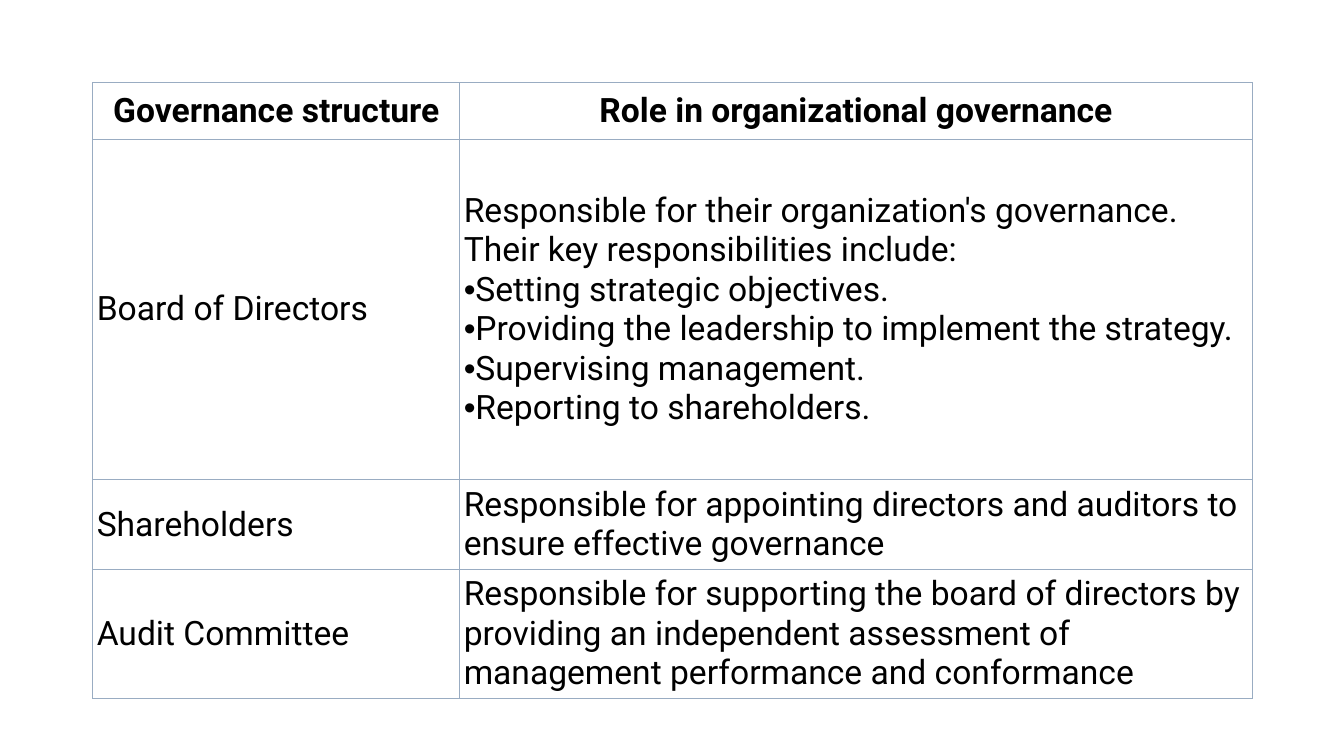
from lxml import etree
from pptx import Presentation
from pptx.dml.color import RGBColor
from pptx.enum.text import MSO_ANCHOR, PP_ALIGN
from pptx.oxml.ns import qn
from pptx.util import Inches, Pt

CENTER, LEFT = PP_ALIGN.CENTER, PP_ALIGN.LEFT
MIDDLE = MSO_ANCHOR.MIDDLE
FONT, SIZE = "Roboto", 24
INK, RULE = "000000", "99ACC2"
COLS = [3.64, 7.86]
ROWS = [0.56, 3.38, 0.89, 1.28]
BULLET = "•"

# Each cell is a list of paragraphs; a leading bullet mark makes a list item.
CELLS = [
    [["Governance structure"], ["Role in organizational governance"]],
    [["Board of Directors"],
     ["Responsible for their organization's governance. "
      "Their key responsibilities include:",
      "•Setting strategic objectives.",
      "•Providing the leadership to implement the strategy.",
      "•Supervising management.",
      "•Reporting to shareholders."]],
    [["Shareholders"],
     ["Responsible for appointing directors and auditors to "
      "ensure effective governance"]],
    [["Audit Committee"],
     ["Responsible for supporting the board of directors by "
      "providing an independent assessment of "
      "management performance and conformance"]],
]


def add_borders(cell):
    props = cell._tc.get_or_add_tcPr()
    for side in ("a:lnL", "a:lnR", "a:lnT", "a:lnB"):
        line = etree.SubElement(props, qn(side), w=str(Pt(0.75)))
        fill = etree.SubElement(line, qn("a:solidFill"))
        etree.SubElement(fill, qn("a:srgbClr"), val=RULE)


def add_bullet(para):
    props = para._p.get_or_add_pPr()
    props.set("marL", "0")
    props.set("indent", "0")
    etree.SubElement(props, qn("a:buFont"), typeface="Arial")
    etree.SubElement(props, qn("a:buChar"), char=BULLET)


prs = Presentation()
prs.slide_width, prs.slide_height = Inches(13.33), Inches(7.5)
slide = prs.slides.add_slide(prs.slide_layouts[6])

frame = slide.shapes.add_table(
    len(ROWS), len(COLS), Inches(0.92), Inches(0.82),
    Inches(sum(COLS)), Inches(sum(ROWS)))
table = frame.table
table.first_row = table.horz_banding = False
for col, width in zip(table.columns, COLS):
    col.width = Inches(width)
for row, height in zip(table.rows, ROWS):
    row.height = Inches(height)

for r, row in enumerate(CELLS):
    for c, texts in enumerate(row):
        cell = table.cell(r, c)
        add_borders(cell)
        cell.fill.background()
        cell.vertical_anchor = MIDDLE
        cell.margin_left = cell.margin_right = Inches(0.04)
        cell.margin_top = cell.margin_bottom = Inches(0.04)
        for i, text in enumerate(texts):
            body = cell.text_frame
            para = body.add_paragraph() if i else body.paragraphs[0]
            para.alignment = CENTER if r == 0 else LEFT
            if text.startswith(BULLET):
                add_bullet(para)
            run = para.add_run()
            run.text = text.removeprefix(BULLET)
            run.font.name, run.font.size = FONT, Pt(SIZE)
            run.font.bold = r == 0
            run.font.color.rgb = RGBColor.from_string(INK)

prs.save("out.pptx")
